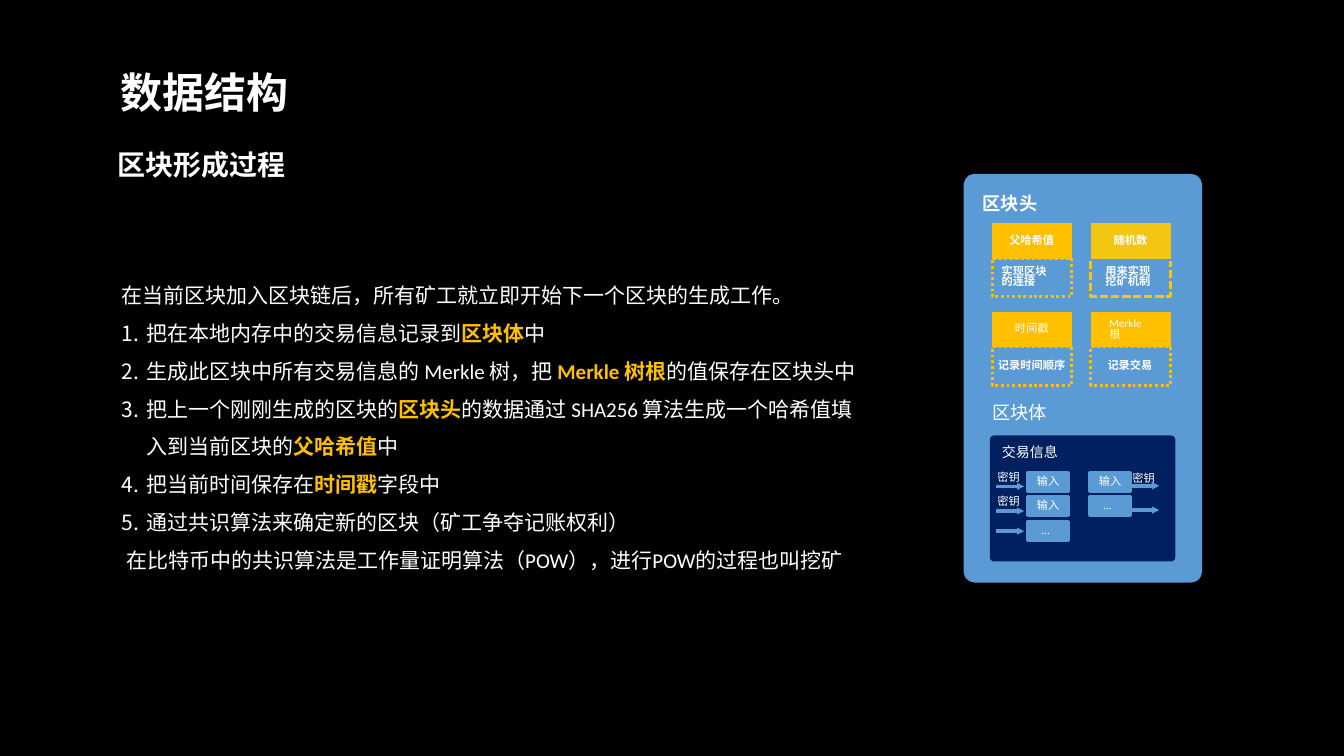
from dataclasses import dataclass

from lxml.etree import SubElement
from pptx import Presentation
from pptx.dml.color import RGBColor as Rgb
from pptx.enum.dml import MSO_LINE as Dash
from pptx.enum.shapes import MSO_CONNECTOR as Link, MSO_SHAPE as Shape
from pptx.enum.text import MSO_ANCHOR as Anchor, MSO_AUTO_SIZE as AutoSize
from pptx.oxml.ns import qn
from pptx.util import Inches, Pt


@dataclass(frozen=True)
class Theme:
    night: str = "000000"
    white: str = "FFFFFF"
    gold: str = "FFC000"
    amber: str = "F3C612"
    sky: str = "5B9BD5"
    navy: str = "002060"
    latin: str = "Calibri"
    han: str = "Noto Sans CJK SC"
    title: int = 30
    subtitle: int = 20
    body: int = 15
    heading: int = 13
    caption: int = 10
    small: int = 8


THEME = Theme()
UNIT = Inches(0.1)
COLUMNS, ROWS = 133.33, 75

STEPS = [
    "把在本地内存中的交易信息记录到*区块体*中",
    "生成此区块中所有交易信息的 Merkle 树，把 *Merkle 树根*的值保存在区块头中",
    "把上一个刚刚生成的区块的*区块头*的数据通过 SHA256 算法生成一个哈希值填入到当前区块的*父哈希值*中",
    "把当前时间保存在*时间戳*字段中",
    "通过共识算法来确定新的区块（矿工争夺记账权利）",
]
INTRO = "在当前区块加入区块链后，所有矿工就立即开始下一个区块的生成工作。"
CLOSING = " 在比特币中的共识算法是工作量证明算法（POW），进行POW的过程也叫挖矿"


def grid(*lengths):
    return [round(length * UNIT) for length in lengths]


def apply(target, formats):
    for name, value in formats.items():
        setattr(target, name, value)


def add_spans(para, text, size, bold, font):
    for index, words in enumerate(text.split("*")):
        accent = index % 2 == 1
        span = para.add_run()
        span.text = words
        apply(span.font, {"size": Pt(size), "bold": bold or accent, "name": font})
        span.font.color.rgb = Rgb.from_string(THEME.gold if accent else THEME.white)
        SubElement(span.font._element, qn("a:ea"), typeface=THEME.han)


def number(para):
    props = para._p.get_or_add_pPr()
    indent = Inches(0.25)
    props.set("marL", str(indent))
    props.set("indent", str(-indent))
    SubElement(props, qn("a:buFont"), typeface="+mj-lt")
    SubElement(props, qn("a:buAutoNum"), type="arabicPeriod")


def add_text(page, area, lines, size, bold=False, font=THEME.latin, spacing=1.0,
             inset=0.3, anchor=Anchor.MIDDLE, wrap=False, numbered=()):
    box = page.shapes.add_textbox(*grid(*area))
    frame = box.text_frame
    margins = dict.fromkeys(
        ("margin_left", "margin_right", "margin_top", "margin_bottom"), grid(inset)[0])
    apply(frame, {**margins, "word_wrap": wrap, "vertical_anchor": anchor,
                  "auto_size": AutoSize.SHAPE_TO_FIT_TEXT})
    for index, line in enumerate(lines):
        para = frame.add_paragraph() if index else frame.paragraphs[0]
        para.line_spacing = spacing
        if index in numbered:
            number(para)
        add_spans(para, line, size, bold, font)


def add_note(page, area, text, size=THEME.small, font=THEME.latin):
    add_text(page, area, [text], size, font=font, inset=0.2, anchor=Anchor.TOP, wrap=True)


def add_box(page, area, fill=None, line=None, width=2, dash=None, corner=None):
    kind = Shape.ROUNDED_RECTANGLE if corner else Shape.RECTANGLE
    box = page.shapes.add_shape(kind, *grid(*area))
    box.shadow.inherit = False
    if corner:
        box.adjustments[0] = corner
    for paint, colour in ((box.fill, fill), (box.line.fill, line)):
        if colour:
            paint.solid()
            paint.fore_color.rgb = Rgb.from_string(colour)
        else:
            paint.background()
    if line:
        apply(box.line, {"width": Pt(width), "dash_style": dash})


def add_arrow(page, left, row, length=2.8):
    arrow = page.shapes.add_connector(Link.STRAIGHT, *grid(left, row, left + length, row))
    arrow.line.width = Pt(2.5)
    arrow.line.color.rgb = Rgb.from_string(THEME.sky)
    SubElement(arrow.line._get_or_add_ln(), qn("a:tailEnd"), type="triangle", w="sm", len="sm")
    SubElement(arrow._element.spPr, qn("a:effectLst"))


def add_label(page, centre, middle, width, lines, bold=True, wrap=False):
    height = 0.5 + 1.1 * len(lines)
    add_text(page, (centre - width / 2, middle - height / 2, width, height), lines,
             THEME.small, bold, spacing=0.8, wrap=wrap)


def add_field(page, column, row, name, name_width, detail, detail_width,
              fill=THEME.gold, dash=Dash.ROUND_DOT, bold=True, shift=0, wrap=False):
    left, top = 98.3 + 9.8 * column, 22 + 8.8 * row
    header = {"area": (left, top, 8.2, 3.8), "fill": fill, "line": THEME.sky}
    outline = {"area": (left + 0.12, top + 3.63, 7.9, 3.8), "line": fill, "dash": dash}
    layers = (header, outline) if dash == Dash.ROUND_DOT else (outline, header)
    for layer in layers:
        add_box(page, **layer)
    add_label(page, left + 4.1, top + 1.9, name_width, [name], bold, wrap)
    add_label(page, left + 4.05 + shift, top + 5.5, detail_width, detail)


def add_header_fields(page):
    add_text(page, (97.2, 18.8, 6, 2.7), ["区块头"], THEME.heading, True)
    add_field(page, 0, 0, "父哈希值", 5.15, ["实现区块", "的连接"], 5.15, shift=-0.7)
    add_field(page, 1, 0, "随机数", 4.05, ["用来实现", "挖矿机制"], 5.15,
              fill=THEME.amber, dash=Dash.SQUARE_DOT, shift=-0.2)
    add_field(page, 0, 1, "时间戳", 4.05, ["记录时间顺序"], 7.3, bold=False)
    add_field(page, 1, 1, "Merkle根", 4.9, ["记录交易"], 5.15, bold=False, wrap=True)


def add_transactions(page):
    add_note(page, (98.25, 39.6, 6.5, 2.7), "区块体", THEME.heading, THEME.han)
    add_box(page, (98.2, 43.2, 18.4, 12.5), THEME.navy, corner=0.034)
    add_note(page, (99.2, 43.75, 6.5, 2.2), "交易信息", THEME.caption, THEME.han)
    for left, names in ((101.9, ["输入", "输入", "…"]), (108.05, ["输入", "…"])):
        for row, name in enumerate(names):
            top = 46.85 + 2.43 * row
            add_box(page, (left, top, 4.1, 1.9), THEME.sky, THEME.sky)
            offset = 1.25 if name == "…" else 0.77
            add_note(page, (left + offset, top, 3, 1.9), name)
    for left, top in ((98.75, 46.45), (98.75, 48.85), (112.15, 46.55)):
        add_note(page, (left, top, 3, 1.9), "密钥")
    for left, rows in ((98.8, (48.25, 50.7, 52.7)), (112.2, (48.2, 50.6))):
        for row in rows:
            add_arrow(page, left, row)


def main():
    deck = Presentation()
    deck.slide_width, deck.slide_height = grid(COLUMNS, ROWS)
    page = deck.slides.add_slide(deck.slide_layouts[6])
    backdrop = page.background.fill
    backdrop.solid()
    backdrop.fore_color.rgb = Rgb.from_string(THEME.night)
    add_text(page, (11.65, 6.9, 17.4, 5.1), ["数据结构"], THEME.title, True, spacing=0.9)
    add_text(page, (11.35, 14.7, 17.4, 3.6), ["区块形成过程"], THEME.subtitle, True, spacing=0.9)
    add_text(page, (11.75, 26.35, 74.1, 30.9), [INTRO, *STEPS, CLOSING], THEME.body,
             spacing=1.5, wrap=True, numbered=range(1, len(STEPS) + 1))
    add_box(page, (95.95, 17.6, 22.95, 39.85), THEME.sky, THEME.sky, 5, corner=0.032)
    add_header_fields(page)
    add_transactions(page)
    deck.save("out.pptx")


if __name__ == "__main__":
    main()
